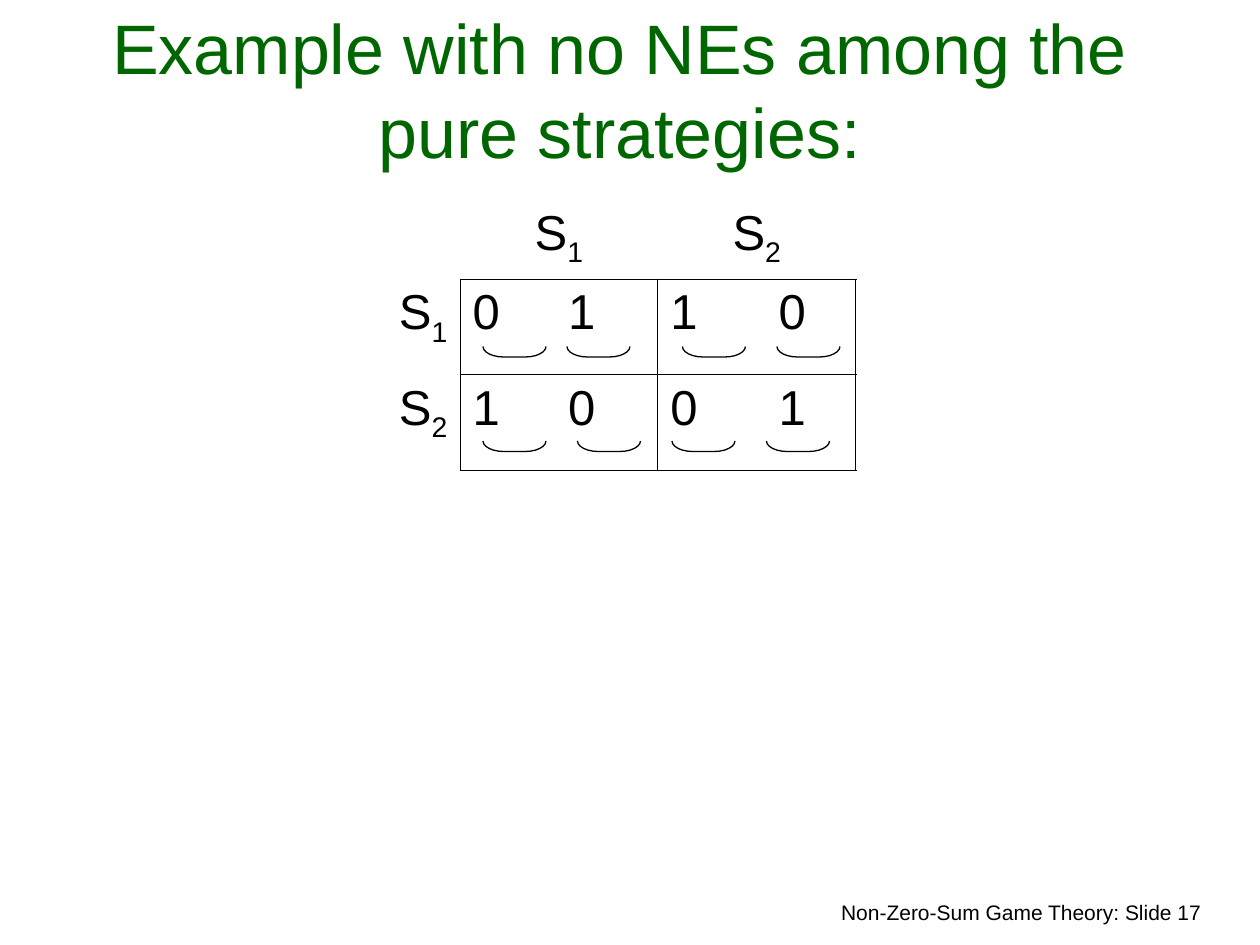
from dataclasses import dataclass
from typing import NamedTuple

from lxml.etree import SubElement
from pptx import Presentation
from pptx.dml.color import RGBColor
from pptx.enum.shapes import MSO_SHAPE as Shape
from pptx.enum.text import MSO_ANCHOR as Anchor, PP_ALIGN as Align
from pptx.oxml import parse_xml
from pptx.oxml.ns import nsdecls, qn
from pptx.util import Inches, Pt


@dataclass(frozen=True)
class Theme:
    font: str = "Arial"
    ink: str = "000000"
    green: str = "006600"
    title: float = 40
    body: float = 28
    footer: float = 12
    thin: float = 0.45
    thick: float = 1.08
    arc: float = 0.75


class Box(NamedTuple):
    left: float
    top: float
    width: float
    height: float


class Payoff(NamedTuple):
    row: int
    col: int
    first: str
    second: str
    arcs: tuple[int, int]


THEME = Theme()
COLS = (7.8, 18.85, 18.85)
ROWS = (7.6, 9.1, 9.1)
TABLE = Box(36, 19, sum(COLS), sum(ROWS))
TABS = {1: 0.76, 2: 0.86}
ARC_TOPS = {1: 33, 2: 42}
PAYOFFS = (
    Payoff(1, 1, "0", "1", (46, 54)),
    Payoff(1, 2, "1", "0", (65, 74)),
    Payoff(2, 1, "1", "0", (46, 55)),
    Payoff(2, 2, "0", "1", (64, 73)),
)
NO_STYLE = "{2D5ABB26-0587-4C30-8999-92F81FD0307C}"


def grid(n: float) -> int:
    return Inches(n / 12)


def place(box: Box) -> tuple[int, ...]:
    return tuple(grid(n) for n in box)


def add_run(p, text: str, size: float, color: str = THEME.ink):
    r = p.add_run()
    r.text = text
    r.font.name = THEME.font
    r.font.size = Pt(size)
    r.font.color.rgb = RGBColor.from_string(color)
    return r


def add_text(s, box: Box, text: str, size: float, color: str, align: Align, anchor: Anchor) -> None:
    tf = s.shapes.add_textbox(*place(box)).text_frame
    tf.word_wrap = True
    tf.vertical_anchor = anchor
    p = tf.paragraphs[0]
    p.alignment = align
    add_run(p, text, size, color)


def add_strategy(cell, index: int, align: Align) -> None:
    p = cell.text_frame.paragraphs[0]
    p.alignment = align
    add_run(p, "S", THEME.body)
    sub = add_run(p, str(index), THEME.body)
    sub.font._element.set("baseline", "-25000")


def set_borders(cell, right: float, bottom: float) -> None:
    tc_pr = cell._tc.get_or_add_tcPr()
    widths = {"lnL": THEME.thin, "lnR": right, "lnT": THEME.thin, "lnB": bottom}
    for i, (side, width) in enumerate(widths.items()):
        tc_pr.insert(i, parse_xml(
            f'<a:{side} {nsdecls("a")} w="{Pt(width)}"><a:solidFill>'
            f'<a:srgbClr val="{THEME.ink}"/></a:solidFill></a:{side}>'))


def add_payoff(cell, payoff: Payoff) -> None:
    p = cell.text_frame.paragraphs[0]
    tabs = SubElement(p._p.get_or_add_pPr(), qn("a:tabLst"))
    SubElement(tabs, qn("a:tab"), pos=str(Inches(TABS[payoff.col])), algn="l")
    add_run(p, f"{payoff.first}\t{payoff.second}", THEME.body)
    set_borders(cell,
                THEME.thick if payoff.col == 2 else THEME.thin,
                THEME.thick if payoff.row == 2 else THEME.thin)


def add_arc(s, left: float, top: float, length: float = 6, depth: float = 1) -> None:
    shift = (length - depth) / 2
    sp = s.shapes.add_shape(Shape.LEFT_BRACKET, *place(Box(left + shift, top - shift, depth, length)))
    sp.rotation = 270
    sp.adjustments[0] = 2
    sp.shadow.inherit = False
    sp.fill.background()
    sp.line.color.rgb = RGBColor.from_string(THEME.ink)
    sp.line.width = Pt(THEME.arc)


def add_game(s) -> None:
    frame = s.shapes.add_table(len(ROWS), len(COLS), *place(TABLE))
    table = frame.table
    table.first_row = table.horz_banding = False
    table._tbl.tblPr.find(qn("a:tableStyleId")).text = NO_STYLE
    for column, width in zip(table.columns, COLS):
        column.width = grid(width)
    for row, height in zip(table.rows, ROWS):
        row.height = grid(height)
    for cell in table.iter_cells():
        cell.fill.background()
    for i in (1, 2):
        add_strategy(table.cell(0, i), i, Align.CENTER)
        add_strategy(table.cell(i, 0), i, Align.RIGHT)
    for payoff in PAYOFFS:
        add_payoff(table.cell(payoff.row, payoff.col), payoff)
        for left in payoff.arcs:
            add_arc(s, left, ARC_TOPS[payoff.row])


def main() -> None:
    prs = Presentation()
    prs.slide_width, prs.slide_height = grid(120), grid(90)
    s = prs.slides.add_slide(prs.slide_layouts[6])
    add_text(s, Box(68.6, 85.1, 47, 3.6), "Non-Zero-Sum Game Theory: Slide 17",
             THEME.footer, THEME.ink, Align.RIGHT, Anchor.TOP)
    add_text(s, Box(3, 3, 112, 14), "Example with no NEs among the pure strategies:",
             THEME.title, THEME.green, Align.CENTER, Anchor.BOTTOM)
    add_game(s)
    prs.save("out.pptx")


if __name__ == "__main__":
    main()
